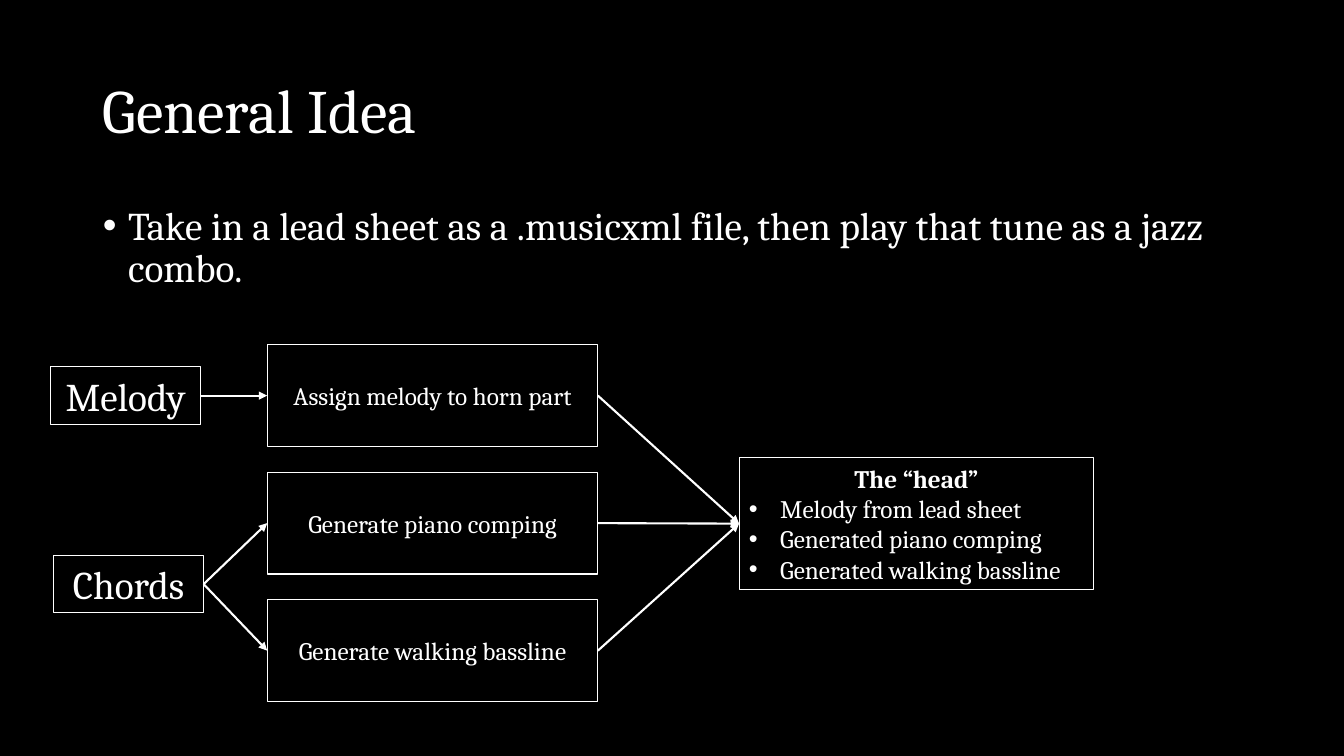
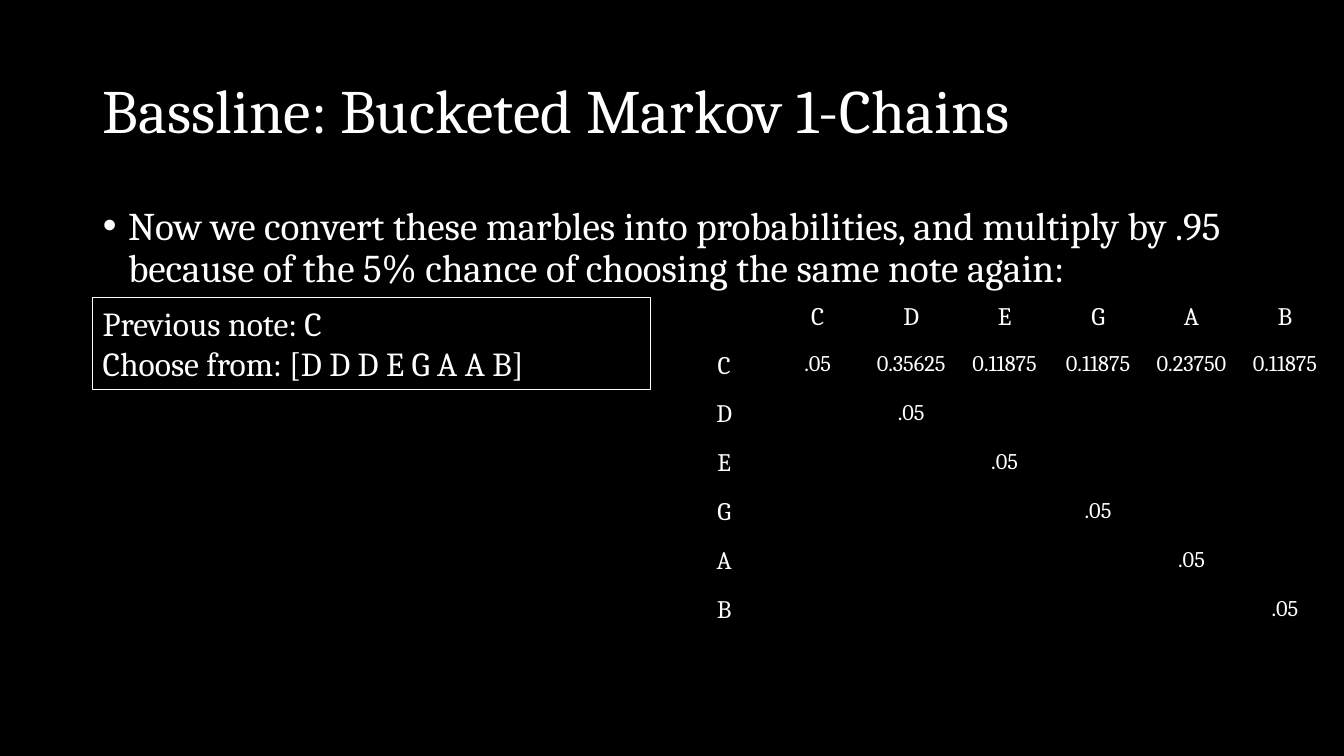
from lxml import etree
from pptx import Presentation
from pptx.dml.color import RGBColor
from pptx.enum.shapes import MSO_CONNECTOR, MSO_SHAPE
from pptx.enum.text import MSO_ANCHOR, PP_ALIGN
from pptx.oxml.ns import qn
from pptx.util import Inches, Pt

LEFT, CENTER = PP_ALIGN.LEFT, PP_ALIGN.CENTER
TOP, MIDDLE = MSO_ANCHOR.TOP, MSO_ANCHOR.MIDDLE
RECTANGLE, STRAIGHT = MSO_SHAPE.RECTANGLE, MSO_CONNECTOR.STRAIGHT
LEFT_SITE, RIGHT_SITE = 1, 3  # connection sites of a rectangle

FONT = "Cambria"
WHITE, BLACK = "FFFFFF", "000000"
TITLE_SIZE, BODY_SIZE, BOX_SIZE, CELL_SIZE = 44, 28, 18, 16
MARGIN, CONTENT_WIDTH = 0.92, 11.5
NO_GRID_STYLE = "{2D5ABB26-0587-4C30-8999-92F81FD0307C}"


def color(hex_code):
    return RGBColor.from_string(hex_code)


# Text
def add_bullet(para, indent):
    props = para._p.get_or_add_pPr()
    props.set("marL", str(Inches(indent)))
    props.set("indent", str(-Inches(indent)))
    bullet_color = etree.SubElement(props, qn("a:buClr"))
    etree.SubElement(bullet_color, qn("a:srgbClr"), val=WHITE)
    etree.SubElement(props, qn("a:buFont"), typeface="Arial")
    etree.SubElement(props, qn("a:buChar"), char="•")


def style_para(para, size, align=LEFT, bold=False):
    para.alignment = align
    para.font.name = FONT
    para.font.size = Pt(size)
    para.font.bold = bold
    para.font.color.rgb = color(WHITE)


def write_lines(frame, lines, size, align):
    frame.text = "\n".join(lines)
    for para in frame.paragraphs:
        style_para(para, size, align)


# Shared slide frame
def place(shape, left, top, width, height):
    shape.left, shape.top = Inches(left), Inches(top)
    shape.width, shape.height = Inches(width), Inches(height)


def add_page(deck, title, bullet, body_width=CONTENT_WIDTH):
    page = deck.slides.add_slide(deck.slide_layouts[1])
    heading, body = page.shapes.title, page.placeholders[1]
    place(heading, MARGIN, 0.4, CONTENT_WIDTH, 1.45)
    place(body, MARGIN, 2, body_width, 4.76)
    for holder, text, size, anchor in (
        (heading, title, TITLE_SIZE, MIDDLE),
        (body, bullet, BODY_SIZE, TOP),
    ):
        frame = holder.text_frame
        frame.text = text
        frame.vertical_anchor = anchor
        para = frame.paragraphs[0]
        if holder is body:
            add_bullet(para, 0.25)
        para.line_spacing = 0.9
        para.space_before = Pt(10 if holder is body else 0)
        style_para(para, size)
    return page


# Outlined boxes and arrows
def add_box(page, left, top, width, height, lines, size, align=CENTER):
    box = page.shapes.add_shape(RECTANGLE, 0, 0, 0, 0)
    place(box, left, top, width, height)
    box.shadow.inherit = False
    box.fill.background()
    box.line.color.rgb = color(WHITE)
    box.line.width = Pt(0.75)
    box.text_frame.word_wrap = True
    write_lines(box.text_frame, lines, size, align)
    return box


def add_arrow(page, source, target):
    arrow = page.shapes.add_connector(STRAIGHT, 0, 0, 0, 0)
    arrow.begin_connect(source, RIGHT_SITE)
    arrow.end_connect(target, LEFT_SITE)
    arrow.line.color.rgb = color(WHITE)
    arrow.line.width = Pt(1.5)
    etree.SubElement(arrow.line._get_or_add_ln(), qn("a:tailEnd"), type="triangle")
    etree.SubElement(arrow._element.spPr, qn("a:effectLst"))


def add_flow(page, left, top):
    """Inputs, generating steps and the resulting head, from left to right."""
    melody = add_box(page, left, top + 0.22, 1.49, 0.57, ["Melody"], BODY_SIZE)
    chords = add_box(page, left + 0.03, top + 2.09, 1.49, 0.57, ["Chords"], BODY_SIZE)
    labels = ("Assign melody to horn part", "Generate piano comping",
              "Generate walking bassline")
    horn, piano, bass = steps = [
        add_box(page, left + 2.15, top + 1.265 * row, 3.28, 1.01, [label], BOX_SIZE)
        for row, label in enumerate(labels)
    ]
    head = add_box(page, left + 6.83, top + 1.12, 3.52, 1.31, ["The “head”"], BOX_SIZE)
    head.text_frame.paragraphs[0].font.bold = True
    for part in ("Melody from lead sheet", "Generated piano comping",
                 "Generated walking bassline"):
        para = head.text_frame.add_paragraph()
        para.text = part
        add_bullet(para, 0.31)
        style_para(para, BOX_SIZE)

    links = [(melody, horn), (chords, piano), (chords, bass)]
    for source, target in links + [(step, head) for step in steps]:
        add_arrow(page, source, target)


# Transition table
def style_cell(cell, text, size):
    props = cell._tc.get_or_add_tcPr()
    for edge in ("a:lnL", "a:lnR", "a:lnT", "a:lnB"):
        etree.SubElement(etree.SubElement(props, qn(edge)), qn("a:noFill"))
    cell.fill.background()
    write_lines(cell.text_frame, [text], size, CENTER)


def add_transitions(page, left, top, width, height):
    notes = "CDEGAB"
    from_c = [".05", "0.35625", "0.11875", "0.11875", "0.23750", "0.11875"]
    repeats = [
        [".05" if column == row else "" for column in range(len(notes))]
        for row in range(1, len(notes))
    ]
    rows = [["", *notes]]
    rows += [[note, *values] for note, values in zip(notes, [from_c] + repeats)]
    count = len(rows)
    table = page.shapes.add_table(
        count, count, Inches(left), Inches(top), Inches(width), Inches(height)
    ).table
    table.first_row = table.horz_banding = False
    table._tbl.tblPr.find(qn("a:tableStyleId")).text = NO_GRID_STYLE
    for row, values in enumerate(rows):
        for column, text in enumerate(values):
            size = CELL_SIZE if row and column else BOX_SIZE
            style_cell(table.cell(row, column), text, size)


# Slides
def build_idea(deck):
    page = add_page(
        deck, "General Idea",
        "Take in a lead sheet as a .musicxml file, then play that tune as a jazz combo.",
    )
    add_flow(page, 0.5, 3.42)


def build_bassline(deck):
    page = add_page(
        deck, "Bassline: Bucketed Markov 1-Chains",
        "Now we convert these marbles into probabilities, and multiply by .95 "
        "because of the 5% chance of choosing the same note again:",
        body_width=11.92,
    )
    add_transitions(page, 6.72, 2.95, 6.49, 3.4)
    add_box(page, MARGIN, 2.95, 5.53, 0.91,
            ["Previous note: C", "Choose from: [D D D E G A A B]"], 24, LEFT)


def main():
    deck = Presentation()
    deck.slide_width, deck.slide_height = Inches(13.33), Inches(7.5)
    backdrop = deck.slide_master.background.fill
    backdrop.solid()
    backdrop.fore_color.rgb = color(BLACK)
    build_idea(deck)
    build_bassline(deck)
    deck.save("out.pptx")


if __name__ == "__main__":
    main()
